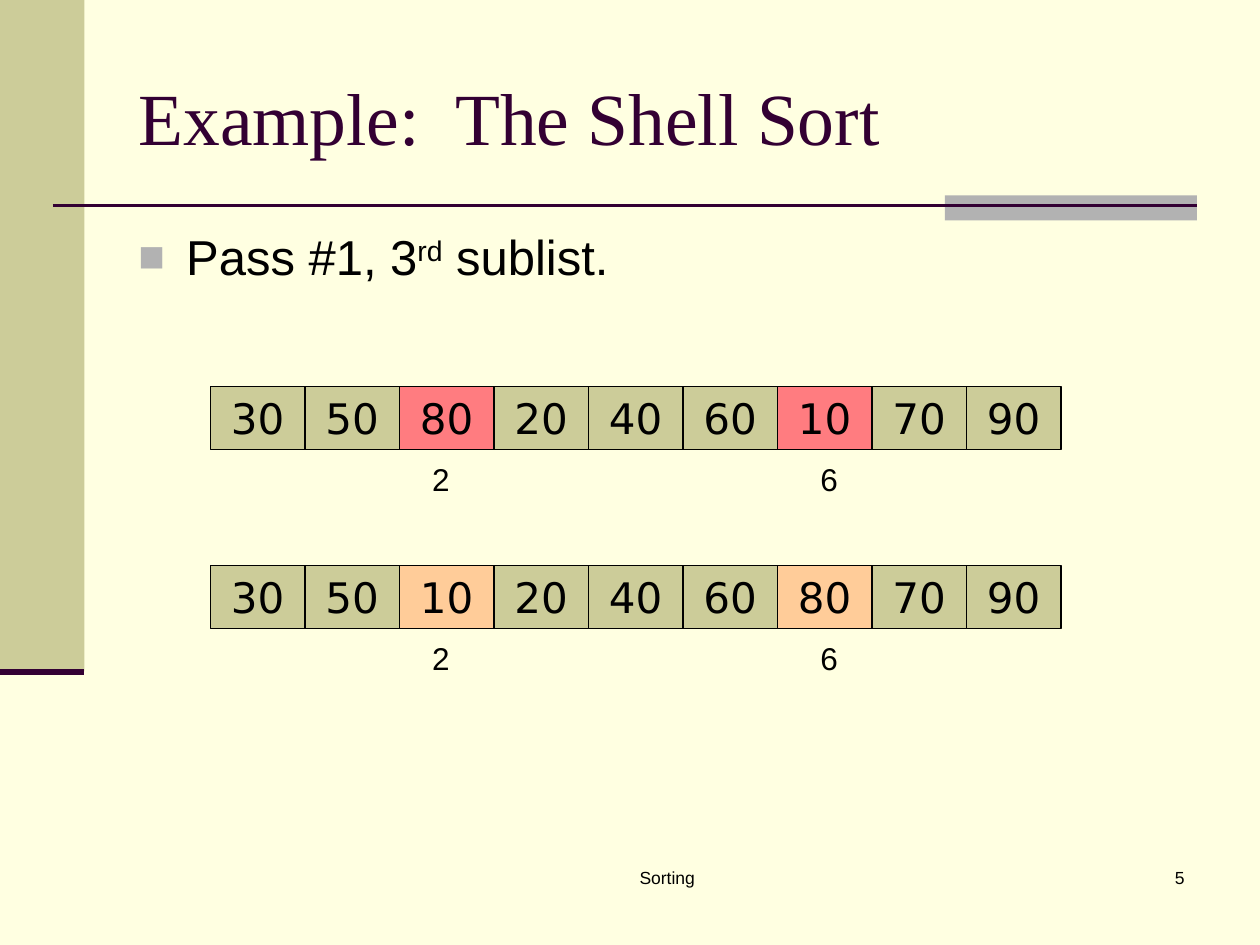
"""Build the Shell sort slide showing the third sublist of the first pass."""
from lxml.etree import SubElement
from pptx import Presentation
from pptx.dml.color import RGBColor
from pptx.enum.shapes import MSO_CONNECTOR, MSO_SHAPE
from pptx.enum.text import MSO_ANCHOR, MSO_AUTO_SIZE, PP_ALIGN
from pptx.oxml.ns import qn
from pptx.util import Inches, Pt

CREAM = RGBColor(0xFF, 0xFF, 0xE1)
OLIVE = RGBColor(0xCC, 0xCC, 0x99)
GRAY = RGBColor(0xB2, 0xB2, 0xB2)
PLUM = RGBColor(0x33, 0x00, 0x33)
BLACK = RGBColor(0x00, 0x00, 0x00)
RED = RGBColor(0xFF, 0x7C, 0x80)
PEACH = RGBColor(0xFF, 0xCC, 0x99)


def add_rectangle(slide, left, top, width, height, fill):
    shape = slide.shapes.add_shape(
        MSO_SHAPE.RECTANGLE, Inches(left), Inches(top), Inches(width), Inches(height))
    shape.shadow.inherit = False
    shape.fill.solid()
    shape.fill.fore_color.rgb = fill
    shape.line.fill.background()
    return shape


def add_run(paragraph, text, size, font="Arial", color=BLACK):
    run = paragraph.add_run()
    run.text = text
    run.font.size = Pt(size)
    run.font.name = font
    run.font.color.rgb = color
    return run


presentation = Presentation()
presentation.slide_width = Inches(10)
presentation.slide_height = Inches(7.5)
slide = presentation.slides.add_slide(presentation.slide_layouts[5])
slide.background.fill.solid()
slide.background.fill.fore_color.rgb = CREAM

add_rectangle(slide, 0, 0, 0.67, 5.33, OLIVE)
add_rectangle(slide, 7.5, 1.55, 2, 0.2, GRAY)
for left, right, y, weight in [(0.42, 9.5, 1.63, 1.5), (0, 0.67, 5.33, 3.5)]:
    rule = slide.shapes.add_connector(
        MSO_CONNECTOR.STRAIGHT, Inches(left), Inches(y), Inches(right), Inches(y))
    rule.line.color.rgb = PLUM
    rule.line.width = Pt(weight)
    SubElement(rule._element.spPr, qn("a:effectLst"))

title = slide.shapes.title
title.left, title.top = Inches(1), Inches(0.3)
title.width, title.height = Inches(8.5), Inches(1.25)
title.text_frame.auto_size = MSO_AUTO_SIZE.NONE
title.text_frame.vertical_anchor = MSO_ANCHOR.MIDDLE
paragraph = title.text_frame.paragraphs[0]
paragraph.alignment = PP_ALIGN.LEFT
add_run(paragraph, "Example:  The Shell Sort", 42, "Times New Roman", PLUM)

body = slide.shapes.add_textbox(Inches(1), Inches(1.75), Inches(8.5), Inches(4.95))
body.text_frame.word_wrap = True
paragraph = body.text_frame.paragraphs[0]
paragraph.space_before = Pt(7)
properties = paragraph._p.get_or_add_pPr()
properties.set("marL", str(Inches(0.38)))
properties.set("indent", str(-Inches(0.38)))
bullet_color = SubElement(properties, qn("a:buClr"))
SubElement(bullet_color, qn("a:srgbClr"), val=str(GRAY))
SubElement(properties, qn("a:buSzPct"), val="90000")
SubElement(properties, qn("a:buFont"), typeface="Arial")
SubElement(properties, qn("a:buChar"), char="■")
add_run(paragraph, "Pass #1, 3", 28)
ordinal = add_run(paragraph, "rd", 28)
ordinal.font._element.set("baseline", "30000")
add_run(paragraph, " sublist.", 28)

cell_width = 0.75
array_rows = [
    (3.07, [30, 50, 80, 20, 40, 60, 10, 70, 90], RED),
    (4.49, [30, 50, 10, 20, 40, 60, 80, 70, 90], PEACH),
]
for top, values, highlight in array_rows:
    for index, value in enumerate(values):
        fill = highlight if index in (2, 6) else OLIVE
        cell = add_rectangle(slide, 1.67 + index * cell_width, top, cell_width, 0.5, fill)
        cell.line.color.rgb = BLACK
        cell.line.width = Pt(0.75)
        cell.text_frame.vertical_anchor = MSO_ANCHOR.TOP
        paragraph = cell.text_frame.paragraphs[0]
        paragraph.alignment = PP_ALIGN.CENTER
        paragraph.space_before = Pt(15)
        add_run(paragraph, str(value), 24, "DejaVu Sans")

    for index, left in [(2, 3.33), (6, 6.41)]:
        label = slide.shapes.add_textbox(
            Inches(left), Inches(top + 0.53), Inches(0.34), Inches(0.4))
        label.text_frame.word_wrap = False
        paragraph = label.text_frame.paragraphs[0]
        paragraph.alignment = PP_ALIGN.CENTER
        add_run(paragraph, str(index), 18)

footers = [("Sorting", 3.67, 3.25, PP_ALIGN.CENTER), ("5", 7.42, 2.08, PP_ALIGN.RIGHT)]
for text, left, width, alignment in footers:
    footer = slide.shapes.add_textbox(Inches(left), Inches(6.83), Inches(width), Inches(0.5))
    footer.text_frame.word_wrap = True
    paragraph = footer.text_frame.paragraphs[0]
    paragraph.alignment = alignment
    add_run(paragraph, text, 10)

presentation.save("out.pptx")
